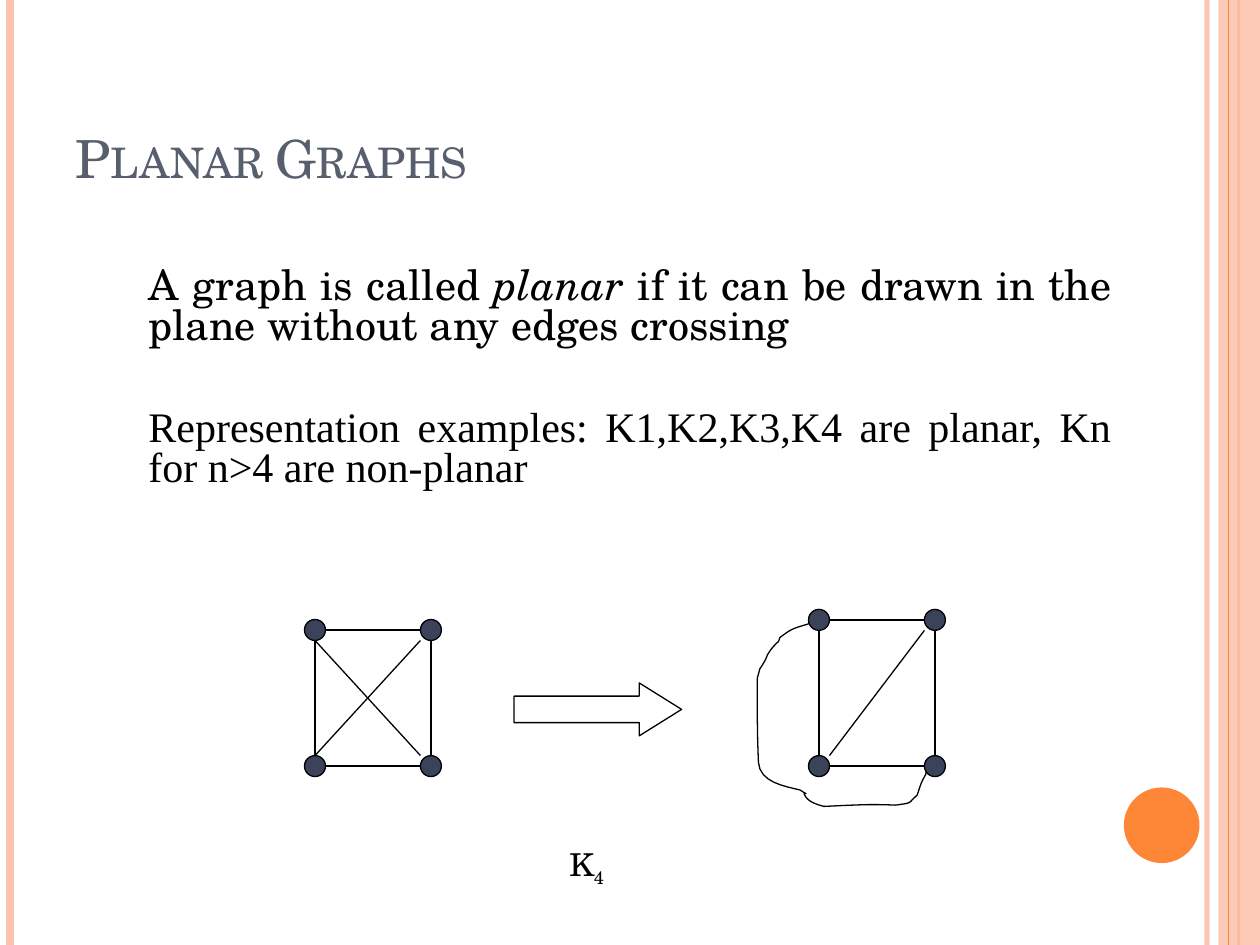
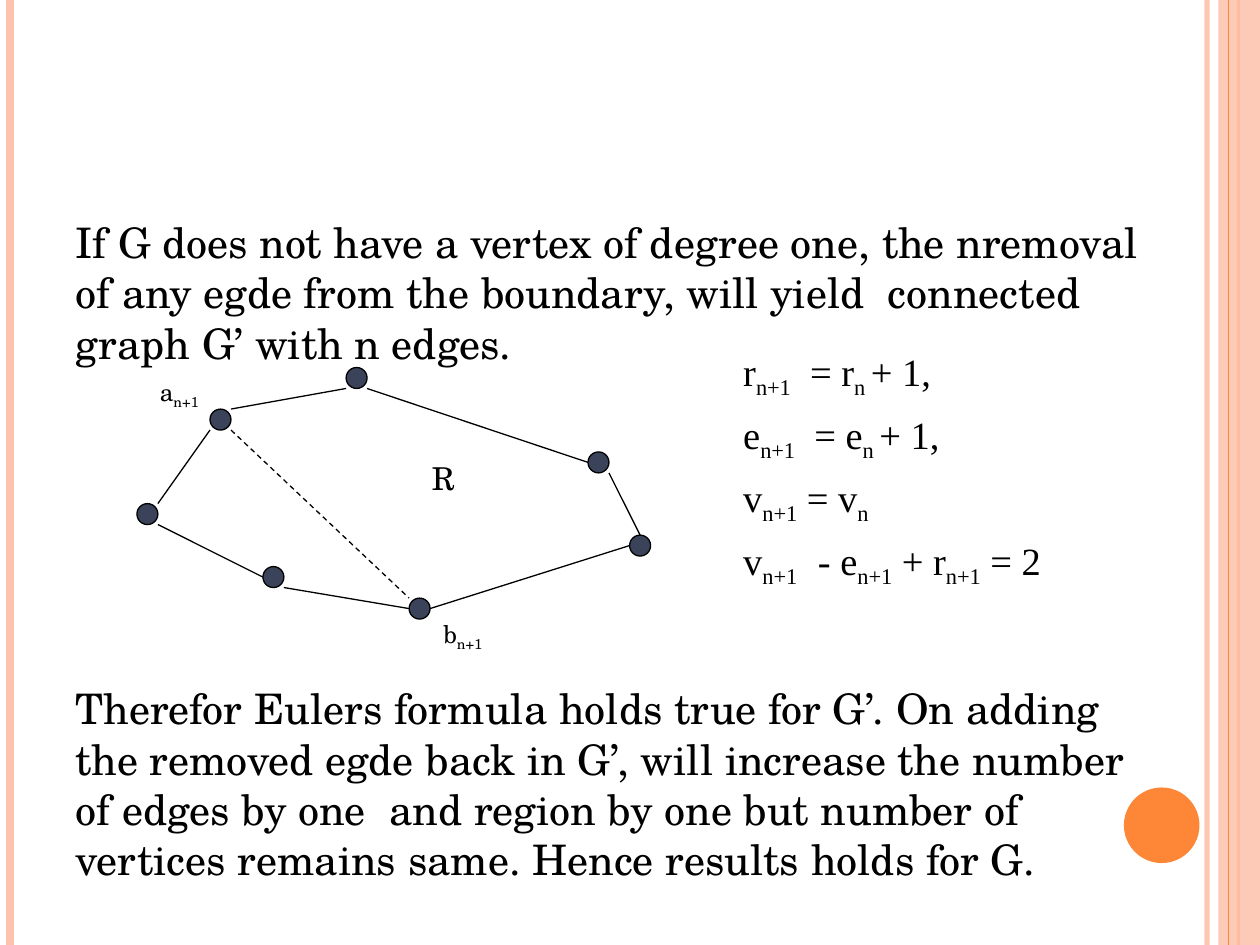
from dataclasses import dataclass

from lxml import etree
from pptx import Presentation
from pptx.dml.color import RGBColor
from pptx.enum.dml import MSO_LINE
from pptx.enum.shapes import MSO_CONNECTOR, MSO_SHAPE
from pptx.enum.text import MSO_ANCHOR, PP_ALIGN
from pptx.oxml.ns import qn
from pptx.util import Inches, Pt

STRAIGHT = MSO_CONNECTOR.STRAIGHT
RECT, OVAL, ARROW = MSO_SHAPE.RECTANGLE, MSO_SHAPE.OVAL, MSO_SHAPE.RIGHT_ARROW
DASH = MSO_LINE.DASH
LEFT, JUSTIFY = PP_ALIGN.LEFT, PP_ALIGN.JUSTIFY
TOP, MIDDLE, BOTTOM = MSO_ANCHOR.TOP, MSO_ANCHOR.MIDDLE, MSO_ANCHOR.BOTTOM


@dataclass(frozen=True)
class Theme:
    serif: str = "TeX Gyre Schola"
    roman: str = "Times New Roman"
    ink: str = "000000"
    paper: str = "FFFFFF"
    slate: str = "575F6D"
    navy: str = "3B435B"
    peach: str = "FEC3AE"
    orange: str = "FE8637"
    title: int = 30
    body: int = 24
    math: int = 22
    label: int = 18
    small: int = 14
    thin: float = 0.75
    gap: int = 6


T = Theme()
RADIUS = 1 / 12
PORTS = {"n": (0, -1), "s": (0, 1), "e": (1, 0), "w": (-1, 0),
         "ne": (1, -1), "nw": (-1, -1), "se": (1, 1), "sw": (-1, 1)}

# Start point, then three points for each Bezier piece of the outer edge.
LOOP = [
    (6.42, 4.95), (6.36, 4.97), (6.31, 4.98), (6.26, 5.01),
    (6.23, 5.03), (6.19, 5.06), (6.19, 5.06),
    (6.17, 5.12), (6.19, 5.07), (6.14, 5.13),
    (6.12, 5.15), (6.09, 5.2), (6.09, 5.2),
    (6.08, 5.24), (6.03, 5.31), (6.03, 5.31),
    (6.03, 5.32), (6.01, 5.38), (6.01, 5.39),
    (6.01, 5.61), (6.01, 5.83), (6.02, 6.05),
    (6.03, 6.21), (6.23, 6.24), (6.35, 6.27),
    (6.46, 6.34), (6.34, 6.25), (6.4, 6.33),
    (6.43, 6.37), (6.5, 6.39), (6.54, 6.4),
    (6.78, 6.39), (6.89, 6.38), (7.11, 6.39),
    (7.25, 6.37), (7.2, 6.38), (7.28, 6.31),
    (7.3, 6.25), (7.31, 6.21), (7.34, 6.16),
    (7.35, 6.15), (7.35, 6.13), (7.35, 6.13),
]


def rgb(code):
    return RGBColor.from_string(code)


def fade(item, share):
    """Make every colour of the item opaque only to the given percent."""
    for node in item._element.iter(qn("a:srgbClr")):
        etree.SubElement(node, qn("a:alpha"), val=str(share * 1000))


def add_line(slide, start, end, color=T.ink, width=T.thin, dash=None):
    ends = [Inches(v) for v in (*start, *end)]
    line = slide.shapes.add_connector(STRAIGHT, *ends)
    line.line.color.rgb = rgb(color)
    line.line.width = Pt(width)
    if dash:
        line.line.dash_style = dash
    etree.SubElement(line._element.spPr, qn("a:effectLst"))
    return line


def add_form(slide, kind, box, fill, edge=None):
    form = slide.shapes.add_shape(kind, *[Inches(v) for v in box])
    form.shadow.inherit = False
    form.fill.solid()
    form.fill.fore_color.rgb = rgb(fill)
    if edge:
        form.line.color.rgb = rgb(edge)
        form.line.width = Pt(T.thin)
    else:
        form.line.fill.background()
    return form


def add_run(para, text, size, font=T.serif, color=T.ink):
    run = para.add_run()
    run.text = text
    run.font.size = Pt(size)
    run.font.name = font
    run.font.color.rgb = rgb(color)
    return run


def add_math(para, text, size, font=T.serif):
    """Write text in which every second part between bars is a subscript."""
    for i, part in enumerate(text.split("|")):
        run = add_run(para, part, size, font)
        if i % 2:
            run._r.get_or_add_rPr().set("baseline", "-25000")


def add_paras(slide, box, count, gap=T.gap):
    """Add a text box and return its paragraphs; gap parts the later ones."""
    frame = slide.shapes.add_textbox(*[Inches(v) for v in box]).text_frame
    frame.word_wrap = True
    frame.vertical_anchor = TOP
    paras = [frame.paragraphs[0]]
    paras += [frame.add_paragraph() for _ in range(count - 1)]
    for i, para in enumerate(paras):
        para.space_before = Pt(gap if i else T.gap)
    return paras


def add_label(slide, spot, text, size):
    form = add_form(slide, RECT, (*spot, 0.33, 0.25), T.paper, T.paper)
    frame = form.text_frame
    frame.word_wrap = False
    frame.vertical_anchor = MIDDLE
    frame.paragraphs[0].alignment = LEFT
    add_math(frame.paragraphs[0], text, size)


def add_graph(slide, dots, edges):
    """Draw dots by name and edges such as "a.e b.w", from port to port."""
    def port(mark):
        name, side = mark.split(".")
        return [c + RADIUS * d for c, d in zip(dots[name], PORTS[side])]

    for x, y in dots.values():
        box = (x - RADIUS, y - RADIUS, 2 * RADIUS, 2 * RADIUS)
        add_form(slide, OVAL, box, T.navy, T.ink)
    for edge, dash in edges.items():
        start, end = edge.split()
        add_line(slide, port(start), port(end), dash=dash)


def add_square(slide, left, top, cross):
    """Draw four dots joined in a square, with the given diagonals."""
    right, low = left + 0.92, 6.08
    dots = {"a": (left, top), "b": (right, top),
            "c": (left, low), "d": (right, low)}
    sides = ["a.e b.w", "c.e d.w", "a.s c.n", "b.s d.n"]
    add_graph(slide, dots, dict.fromkeys(sides + cross))


def add_curve(slide, points, steps=8):
    """Draw an open line through joined cubic Bezier pieces."""
    path = []
    for i in range(0, len(points) - 1, 3):
        piece = points[i:i + 4]
        for t in (k / steps for k in range(1, steps + 1)):
            u = 1 - t
            parts = (u ** 3, 3 * u * u * t, 3 * u * t * t, t ** 3)
            path.append(tuple(
                Inches(sum(w * p[axis] for w, p in zip(parts, piece)))
                for axis in (0, 1)))
    pen = slide.shapes.build_freeform(*[Inches(v) for v in points[0]])
    pen.add_line_segments(path, close=False)
    curve = pen.convert_to_shape()
    curve.shadow.inherit = False
    curve.fill.background()
    curve.line.color.rgb = rgb(T.ink)
    curve.line.width = Pt(T.thin)


def add_frame(slide):
    """Draw the side bands and the disc that all slides share."""
    def rule(x, color, width):
        return add_line(slide, (x, 0), (x, 7.5), color, width)

    fade(rule(9.58, T.peach, 3), 93)
    rule(0.08, T.peach, 4.5)
    rule(9.83, T.orange, 1.5)
    fade(add_form(slide, RECT, (9.67, 0, 0.33, 7.5), T.peach), 87)
    rule(9.75, T.orange, 0.75)
    add_form(slide, OVAL, (8.92, 6.25, 0.6, 0.6), T.orange)


def set_title(slide, text):
    head = slide.shapes.title
    head.left, head.top = Inches(0.5), Inches(0.3)
    head.width, head.height = Inches(8.17), Inches(1.25)
    head.text_frame.vertical_anchor = BOTTOM
    para = head.text_frame.paragraphs[0]
    para.alignment = LEFT
    run = add_run(para, text, T.title, color=T.slate)
    run._r.get_or_add_rPr().set("cap", "small")


def add_planar(deck):
    slide = deck.slides.add_slide(deck.slide_layouts[5])
    add_frame(slide)
    set_title(slide, "Planar Graphs")

    fact, cases = add_paras(slide, (1.08, 2.08, 7.84, 2), 2, gap=35)
    for para in (fact, cases):
        para.alignment = JUSTIFY
        para.line_spacing = 0.8
    add_run(fact, "A graph is called ", T.body)
    add_run(fact, "planar ", T.body).font.italic = True
    add_run(fact, "if it can be drawn in the plane without any edges crossing",
            T.body)
    add_run(cases, "Representation examples: K1,K2,K3,K4 are planar, "
            "Kn for n>4 are non-planar", T.body, T.roman)

    add_square(slide, 6.5, 4.92, ["c.ne b.sw"])
    add_label(slide, (4.42, 6.75), "K|4", T.label)
    add_curve(slide, LOOP)
    add_square(slide, 2.5, 5, ["a.s d.nw", "b.sw c.n"])
    arrow = add_form(slide, ARROW, (4.08, 5.42, 1.33, 0.42), T.paper, T.ink)
    arrow.adjustments[0] = 0.5
    arrow.adjustments[1] = 0.8


def add_proof(deck):
    slide = deck.slides.add_slide(deck.slide_layouts[6])
    add_frame(slide)

    case, end = add_paras(slide, (0.5, 1.67, 8.75, 5.33), 2, gap=180)
    add_run(case, "If G does not have a vertex of degree one, the nremoval of "
            "any egde from the boundary, will yield  connected graph G’ "
            "with n edges.", T.body)
    add_run(end, "Therefor Eulers formula holds true for G’. On adding the "
            "removed egde back in G’, will increase the number of edges by "
            "one  and region by one but number of vertices remains same. "
            "Hence results holds for G.", T.body)

    dots = {"a": (1.75, 3.33), "top": (2.83, 3), "right": (4.75, 3.67),
            "far": (5.08, 4.33), "b": (3.33, 4.83), "low": (2.17, 4.58),
            "left": (1.17, 4.08)}
    edges = dict.fromkeys([
        "top.sw a.ne", "a.sw left.ne", "left.se low.w", "low.se b.w",
        "b.e far.w", "right.se far.n", "top.se right.w"])
    edges["a.se b.nw"] = DASH
    add_graph(slide, dots, edges)
    add_label(slide, (3.33, 3.67), "R", T.label)
    add_label(slide, (1.17, 3), "a|n+1", T.small)
    add_label(slide, (3.42, 4.92), "b|n+1", T.small)

    sums = ["r|n+1|  = r|n |+ 1,", "e|n+1|  = e|n |+ 1,", "v|n+1| = v|n",
            "v|n+1  | - e|n+1| + r|n+1| = 2"]
    paras = add_paras(slide, (5.8, 2.71, 2.92, 2.04), len(sums))
    for para, text in zip(paras, sums):
        add_math(para, text, T.math, T.roman)


def main():
    deck = Presentation()
    deck.slide_width, deck.slide_height = Inches(10), Inches(7.5)
    add_planar(deck)
    add_proof(deck)
    deck.save("out.pptx")


if __name__ == "__main__":
    main()
